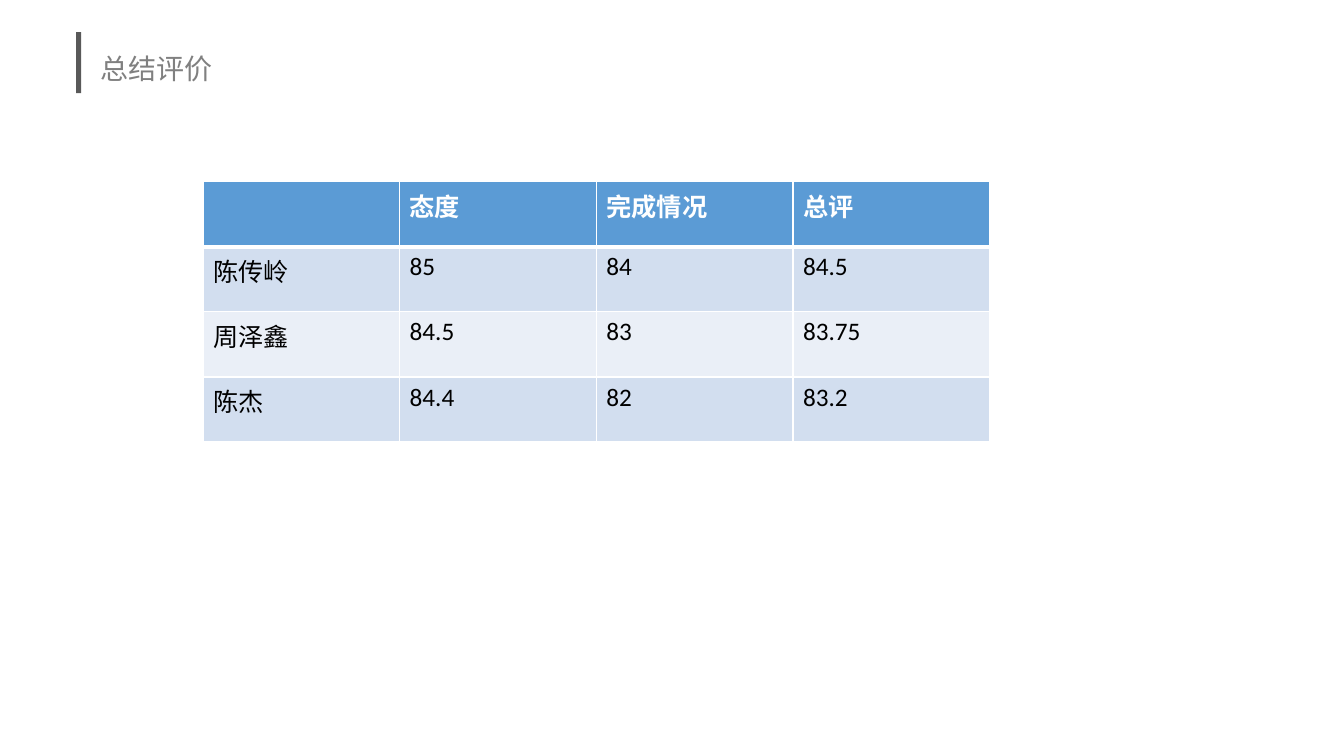
from lxml.etree import SubElement
from pptx import Presentation
from pptx.dml.color import RGBColor
from pptx.enum.shapes import MSO_SHAPE as SHAPE
from pptx.enum.text import MSO_ANCHOR as ANCHOR
from pptx.oxml.ns import qn
from pptx.util import Pt


def set_font(p, name, size, color, bold=False):
    f = p.font
    f.name, f.size, f.bold = name, Pt(size), bold
    f.color.rgb = RGBColor.from_string(color)
    SubElement(f._element, qn("a:ea"), typeface="Noto Sans CJK SC")


def add_border(cell, side, width, color):
    ln = SubElement(cell._tc.get_or_add_tcPr(), qn(f"a:ln{side}"), w=str(Pt(width)))
    fill = SubElement(ln, qn("a:solidFill"))
    SubElement(fill, qn("a:srgbClr"), val=color)


prs = Presentation()
prs.slide_width, prs.slide_height = Pt(960), Pt(540)
s = prs.slides.add_slide(prs.slide_layouts[6])

bar = s.shapes.add_shape(SHAPE.RECTANGLE, Pt(54.3), Pt(23), Pt(3.6), Pt(43.5))
bar.shadow.inherit = False
bar.fill.solid()
bar.fill.fore_color.rgb = RGBColor.from_string("595959")
bar.line.fill.background()

title = s.shapes.add_textbox(Pt(64.8), Pt(21.6), Pt(828), Pt(47.5))
tf = title.text_frame
tf.word_wrap = True
tf.vertical_anchor = ANCHOR.MIDDLE
p = tf.paragraphs[0]
p.text = "总结评价"
p.line_spacing = 1.3
set_font(p, "Noto Sans CJK SC", 20, "808080")

scores = [
    ["", "态度", "完成情况", "总评"],
    ["陈传岭", "85", "84", "84.5"],
    ["周泽鑫", "84.5", "83", "83.75"],
    ["陈杰", "84.4", "82", "83.2"],
]
row_fills = ["5B9BD5", "D2DEEF", "EAEFF7", "D2DEEF"]
table = s.shapes.add_table(4, 4, Pt(145), Pt(129.8), Pt(562), Pt(186)).table

for i, (row, fill) in enumerate(zip(scores, row_fills)):
    header = i == 0
    for j, text in enumerate(row):
        cell = table.cell(i, j)
        for side in "LRTB":
            thick = (header and side == "B") or (i == 1 and side == "T")
            add_border(cell, side, 3 if thick else 1, "FFFFFF")
        cell.fill.solid()
        cell.fill.fore_color.rgb = RGBColor.from_string(fill)
        p = cell.text_frame.paragraphs[0]
        p.text = text
        set_font(p, "Calibri", 18, "FFFFFF" if header else "000000", header)

prs.save("out.pptx")
